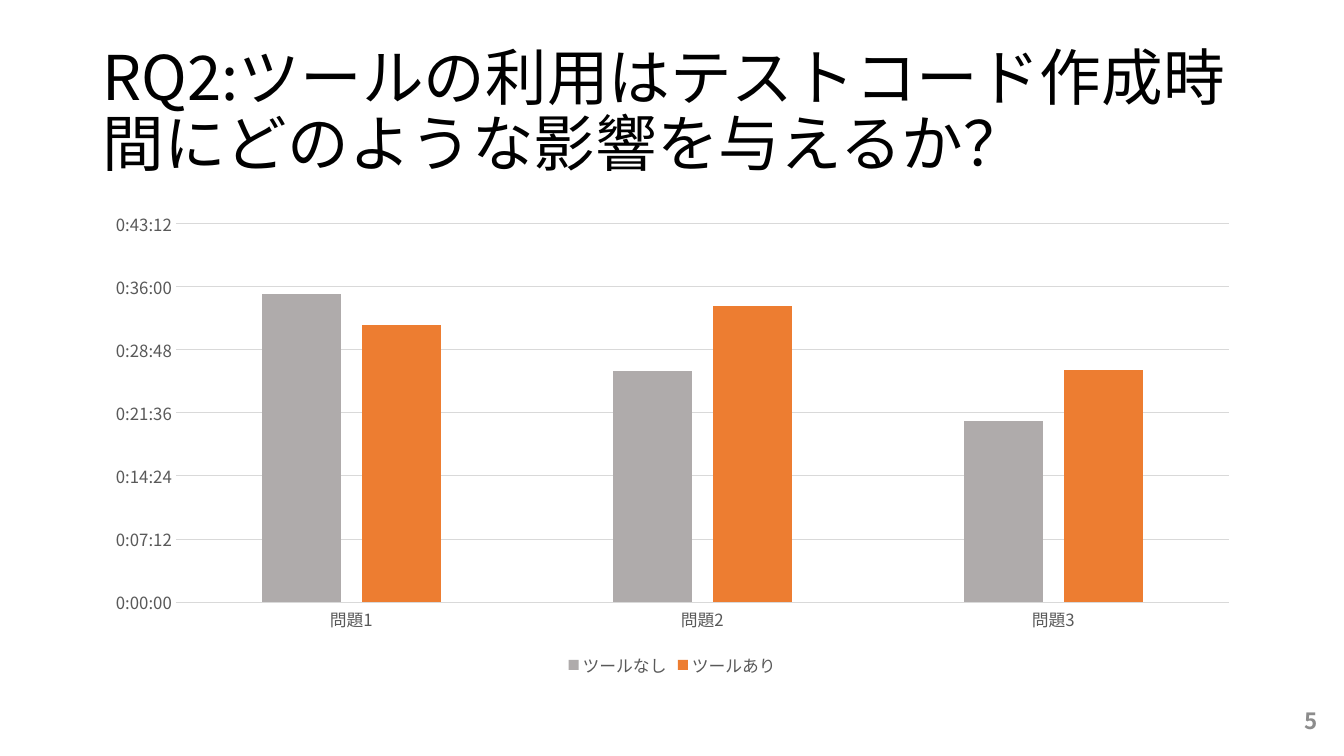
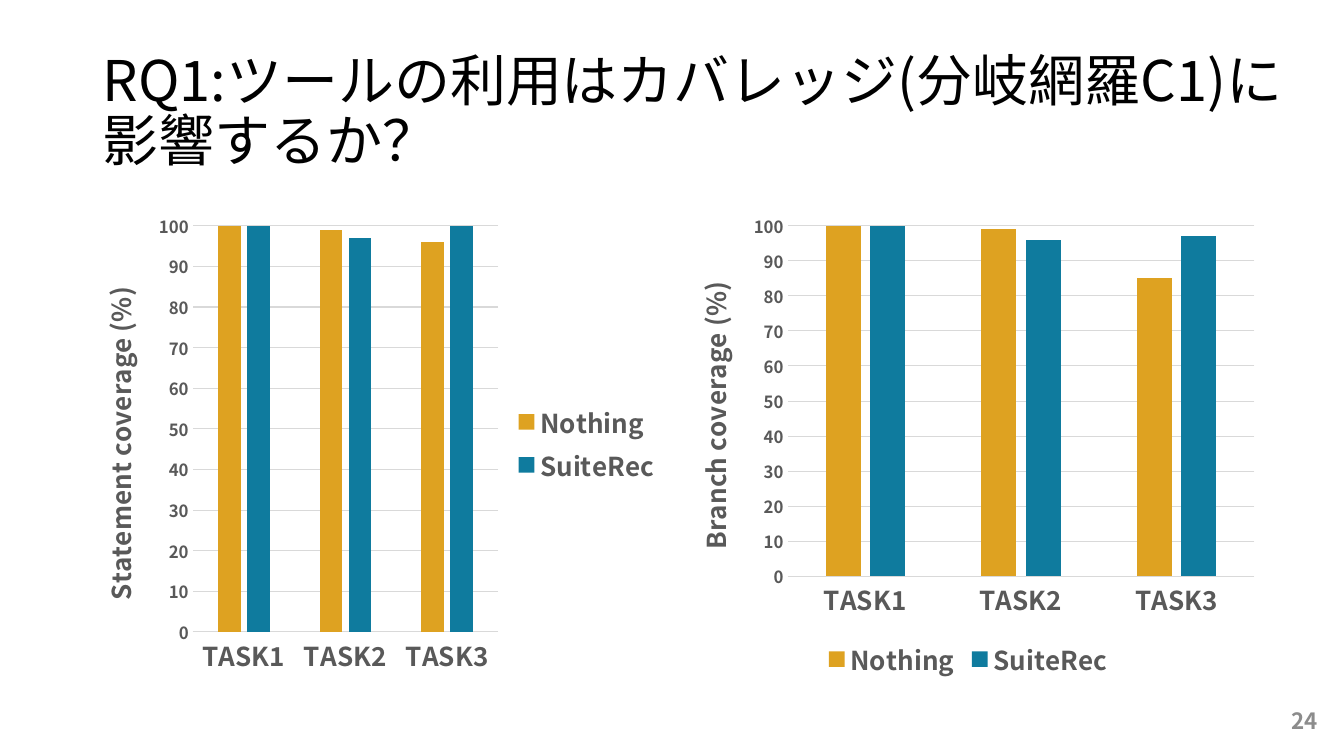
from lxml.etree import SubElement
from pptx import Presentation
from pptx.chart.data import CategoryChartData
from pptx.dml.color import RGBColor
from pptx.enum.chart import XL_CHART_TYPE, XL_LEGEND_POSITION, XL_TICK_MARK
from pptx.enum.text import MSO_ANCHOR, PP_ALIGN
from pptx.oxml.ns import qn
from pptx.util import Inches, Pt

FONT = "Noto Sans CJK JP"
BLACK = RGBColor(0x00, 0x00, 0x00)
LABEL_GREY = RGBColor(0x59, 0x59, 0x59)
NUMBER_GREY = RGBColor(0x8C, 0x8C, 0x8C)
GRID_GREY = RGBColor(0xD9, 0xD9, 0xD9)
BAR_GREY = RGBColor(0xAF, 0xAB, 0xAB)
ORANGE = RGBColor(0xED, 0x7D, 0x31)
GOLD = RGBColor(0xDE, 0xA2, 0x21)
TEAL = RGBColor(0x0F, 0x7B, 0x9E)

SLIDE_WIDTH = Inches(13.33)
SLIDE_HEIGHT = Inches(7.5)
LEFT = 6.9
TITLE_TOP, TITLE_HEIGHT = 5.33, 19.33
CONTENT_WIDTH = 86.25
CHART_HEIGHT = 63.47
HALF_TOP, HALF_WIDTH = 26.93, 44.33
NUMBER_AREA = (76.29, 92.67, 22.5, 5.33)

TIME_AXIS = {"minimum_scale": 0, "maximum_scale": 0.03, "major_unit": 0.005}
PERCENT_AXIS = {"minimum_scale": 0, "maximum_scale": 100, "major_unit": 10}
TASKS = ["TASK1", "TASK2", "TASK3"]


def place(left, top, width, height):
    return [int(share * size / 100) for share, size in (
        (left, SLIDE_WIDTH), (top, SLIDE_HEIGHT),
        (width, SLIDE_WIDTH), (height, SLIDE_HEIGHT))]


def assign(target, values):
    for name, value in values.items():
        setattr(target, name, value)


def style_font(font, size, color, bold=False):
    assign(font, {"name": FONT, "size": Pt(size), "bold": bold})
    font.color.rgb = color


def set_asian_font(element):
    for latin in list(element.iter(qn("a:latin"))):
        asian = SubElement(latin.getparent(), qn("a:ea"))
        asian.set("typeface", FONT)
        latin.addnext(asian)


def style_line(line):
    line.color.rgb = GRID_GREY
    line.width = Pt(0.75)


def add_text(page, area, text, size, color, bold=False, **layout):
    box = page.shapes.add_textbox(*place(*area))
    assign(box.text_frame, {"word_wrap": True,
                            "vertical_anchor": MSO_ANCHOR.MIDDLE})
    para = box.text_frame.paragraphs[0]
    assign(para, layout)
    span = para.add_run()
    span.text = text
    style_font(span.font, size, color, bold)
    set_asian_font(box.element)


def add_page(deck, title, number, title_size, title_width):
    page = deck.slides.add_slide(deck.slide_layouts[6])
    add_text(page, (LEFT, TITLE_TOP, title_width, TITLE_HEIGHT), title,
             title_size, BLACK, line_spacing=0.9)
    add_text(page, NUMBER_AREA, number, 16, NUMBER_GREY, bold=True,
             alignment=PP_ALIGN.RIGHT)
    return page


def add_axis_title(axis, text, size, bold):
    axis.has_title = True
    frame = axis.axis_title.text_frame
    span = frame.paragraphs[0].add_run()
    span.text = text
    style_font(span.font, size, LABEL_GREY, bold)
    for body in axis.axis_title.element.iter(qn("a:bodyPr")):
        body.set("rot", "-5400000")
        body.set("vert", "horz")


def add_columns(page, area, categories, series, scale, legend_position,
                number_format="General", label_size=12, bold=False,
                axis_title=None):
    data = CategoryChartData(number_format=number_format)
    data.categories = categories
    for name, values, color in series:
        data.add_series(name, values)
    chart = page.shapes.add_chart(
        XL_CHART_TYPE.COLUMN_CLUSTERED, *place(*area), data).chart
    style_font(chart.font, 10, BLACK, bold)
    assign(chart, {"has_title": False, "has_legend": True})
    assign(chart.legend, {"position": legend_position,
                          "include_in_layout": False})
    style_font(chart.legend.font, label_size, LABEL_GREY, bold)

    plot = chart.plots[0]
    assign(plot, {"gap_width": 219, "overlap": -27,
                  "vary_by_categories": False})
    for bars, (name, values, color) in zip(plot.series, series):
        bars.format.fill.solid()
        bars.format.fill.fore_color.rgb = color

    for axis, size in ((chart.category_axis, label_size),
                       (chart.value_axis, 12)):
        assign(axis, {"major_tick_mark": XL_TICK_MARK.NONE,
                      "minor_tick_mark": XL_TICK_MARK.NONE})
        style_font(axis.tick_labels.font, size, LABEL_GREY, bold)
    style_line(chart.category_axis.format.line)
    value_axis = chart.value_axis
    assign(value_axis, scale)
    assign(value_axis.tick_labels, {"number_format": number_format,
                                    "number_format_is_linked": False})
    value_axis.format.line.fill.background()
    style_line(value_axis.major_gridlines.format.line)
    if axis_title:
        add_axis_title(value_axis, axis_title, label_size, bold)
    set_asian_font(chart.element)


def add_time_page(deck):
    page = add_page(
        deck, "RQ2:ツールの利用はテストコード作成時間にどのような影響を与えるか？",
        "5", 44, CONTENT_WIDTH)
    add_columns(
        page, (LEFT, 26.67, CONTENT_WIDTH, CHART_HEIGHT),
        ["問題1", "問題2", "問題3"],
        [("ツールなし", (0.0244, 0.0183, 0.0144), BAR_GREY),
         ("ツールあり", (0.022, 0.0235, 0.0184), ORANGE)],
        TIME_AXIS, XL_LEGEND_POSITION.BOTTOM, number_format="h:mm:ss")


def add_coverage_page(deck):
    page = add_page(
        deck, "RQ1:ツールの利用はカバレッジ(分岐網羅C1)に影響するか？",
        "24", 40, 90.1)
    coverage = [
        ("Branch coverage (%)", 49.89, XL_LEGEND_POSITION.BOTTOM,
         (100, 99, 85), (100, 96, 97)),
        ("Statement coverage (%)", 5.63, XL_LEGEND_POSITION.RIGHT,
         (100, 99, 96), (100, 97, 100)),
    ]
    for title, left, legend_position, nothing, suite_rec in coverage:
        add_columns(
            page, (left, HALF_TOP, HALF_WIDTH, CHART_HEIGHT), TASKS,
            [("Nothing", nothing, GOLD), ("SuiteRec", suite_rec, TEAL)],
            PERCENT_AXIS, legend_position, label_size=18.6, bold=True,
            axis_title=title)


def main():
    deck = Presentation()
    assign(deck, {"slide_width": SLIDE_WIDTH, "slide_height": SLIDE_HEIGHT})
    add_time_page(deck)
    add_coverage_page(deck)
    deck.save("out.pptx")


if __name__ == "__main__":
    main()
